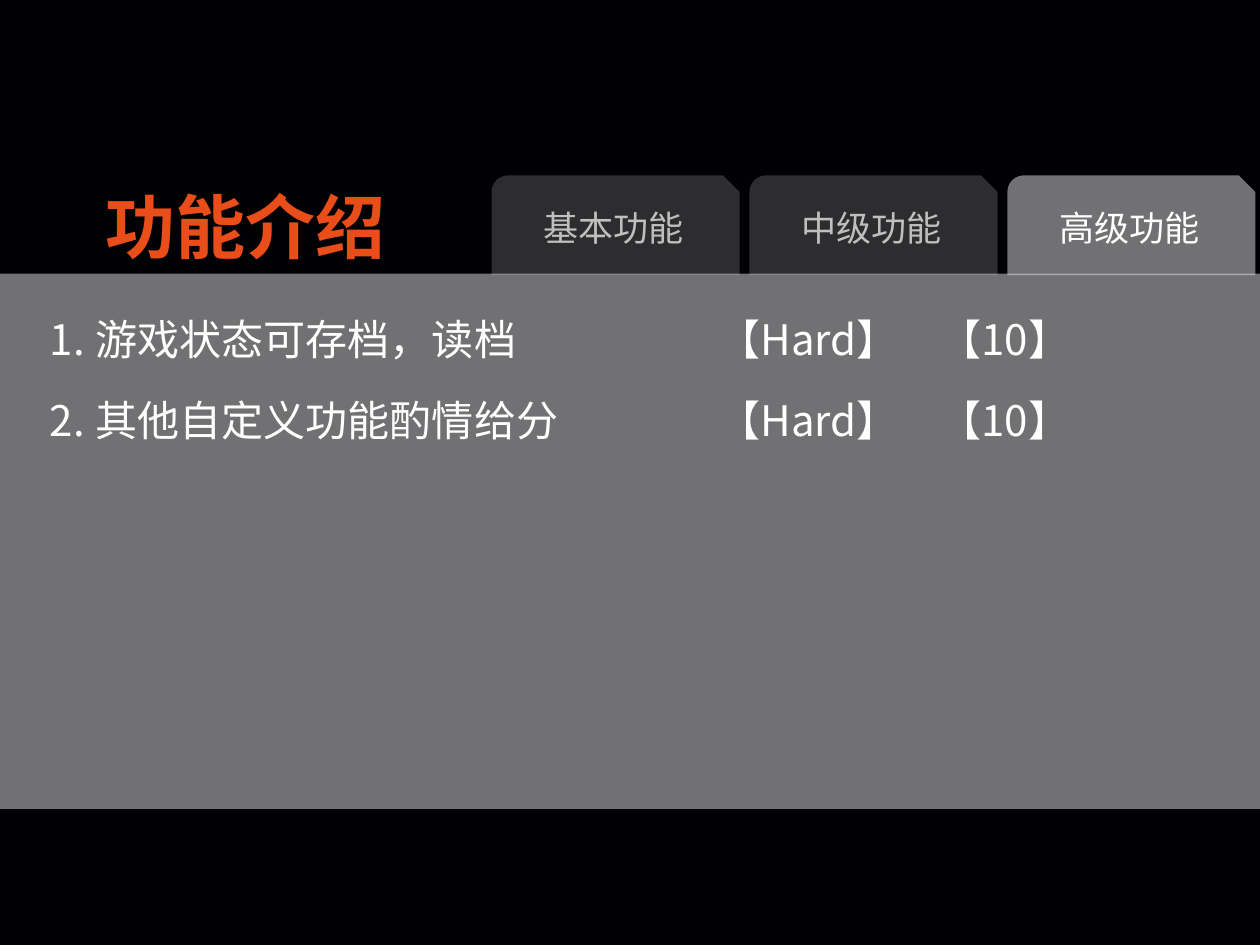
from lxml import etree
from pptx import Presentation
from pptx.dml.color import RGBColor
from pptx.enum.shapes import MSO_SHAPE
from pptx.enum.text import MSO_ANCHOR, MSO_AUTO_SIZE, PP_ALIGN
from pptx.oxml.ns import qn
from pptx.util import Inches, Pt

RECTANGLE = MSO_SHAPE.RECTANGLE
TAB_SHAPE = MSO_SHAPE.SNIP_ROUND_RECTANGLE
CENTER, LEFT = PP_ALIGN.CENTER, PP_ALIGN.LEFT
MIDDLE, TOP = MSO_ANCHOR.MIDDLE, MSO_ANCHOR.TOP
NO_AUTOFIT = MSO_AUTO_SIZE.NONE

BLACK = RGBColor(0x01, 0x01, 0x03)
PALE = RGBColor(0xE1, 0xE0, 0xE2)
MUTED = RGBColor(0xBF, 0xBF, 0xBF)
WHITE = RGBColor(0xFF, 0xFF, 0xFF)
ORANGE = RGBColor(0xE9, 0x4D, 0x1A)
FONT = "Noto Sans CJK SC"

TITLE = "功能介绍"
LEVELS = ["基本功能", "中级功能", "高级功能"]
CURRENT_LEVEL = "高级功能"
FEATURES = [
    ("游戏状态可存档，读档", "【Hard】", "【10】"),
    ("其他自定义功能酌情给分", "【Hard】", "【10】"),
]

SLIDE_W, SLIDE_H = 8.33, 6.25
BAND_TOP, BAND_H = 1.81, 3.54
TAB_LEFT, TAB_TOP, TAB_W, TAB_H, TAB_PITCH = 3.25, 1.16, 1.64, 0.66, 1.705
NUMBER_INDENT = 0.3
COLUMN_STOPS = (4.42, 5.88)


def place(shape, left, top, width, height):
    box = {"left": left, "top": top, "width": width, "height": height}
    for side, value in box.items():
        setattr(shape, side, Inches(value))


def add_panel(shapes, preset, box, opacity):
    panel = shapes.add_shape(preset, *map(Inches, box))
    panel.shadow.inherit = False
    panel.line.fill.background()
    panel.fill.solid()
    panel.fill.fore_color.rgb = PALE
    color = panel.fill._xPr.find(qn("a:solidFill"))[0]
    etree.SubElement(color, qn("a:alpha"), val=str(opacity * 1000))
    return panel


def write(paragraph, text, size, color, align, bold=False):
    paragraph.alignment = align
    run = paragraph.add_run()
    run.text = text
    for name, value in {"size": Pt(size), "bold": bold, "name": FONT}.items():
        setattr(run.font, name, value)
    run.font.color.rgb = color
    etree.SubElement(run._r.get_or_add_rPr(), qn("a:ea"), typeface=FONT)


def format_frame(frame, anchor, wrap):
    settings = {"vertical_anchor": anchor, "word_wrap": wrap, "auto_size": NO_AUTOFIT}
    for name, value in settings.items():
        setattr(frame, name, value)


def number_paragraph(paragraph):
    props = paragraph._p.get_or_add_pPr()
    props.set("marL", str(Inches(NUMBER_INDENT)))
    props.set("indent", str(-Inches(NUMBER_INDENT)))
    etree.SubElement(props, qn("a:buFont"), typeface=FONT)
    etree.SubElement(props, qn("a:buAutoNum"), type="arabicPeriod")
    stops = etree.SubElement(props, qn("a:tabLst"))
    for stop in COLUMN_STOPS:
        etree.SubElement(stops, qn("a:tab"), pos=str(Inches(stop)), algn="l")


def main():
    prs = Presentation()
    prs.slide_width, prs.slide_height = Inches(SLIDE_W), Inches(SLIDE_H)
    slide = prs.slides.add_slide(prs.slide_layouts[1])
    slide.background.fill.solid()
    slide.background.fill.fore_color.rgb = BLACK
    shapes = slide.shapes
    title, features = shapes.title, slide.placeholders[1]

    add_panel(shapes, RECTANGLE, (0, BAND_TOP, SLIDE_W, BAND_H), 50)
    for i, level in enumerate(LEVELS):
        current = level == CURRENT_LEVEL
        box = (TAB_LEFT + i * TAB_PITCH, TAB_TOP, TAB_W, TAB_H)
        tab = add_panel(shapes, TAB_SHAPE, box, 50 if current else 20)
        format_frame(tab.text_frame, MIDDLE, True)
        write(tab.text_frame.paragraphs[0], level, 16.7, WHITE if current else MUTED, CENTER)

    place(features, 0.23, 2.02, 7.6, 0.98)
    format_frame(features.text_frame, TOP, True)
    for i, row in enumerate(FEATURES):
        frame = features.text_frame
        paragraph = frame.add_paragraph() if i else frame.paragraphs[0]
        write(paragraph, "\t".join(row), 20, WHITE, LEFT)
        paragraph.space_before = Pt(15)
        number_paragraph(paragraph)

    place(title, 0.59, TAB_TOP, 2.07, TAB_H)
    format_frame(title.text_frame, MIDDLE, False)
    write(title.text_frame.paragraphs[0], TITLE, 33.3, ORANGE, CENTER, bold=True)

    for placeholder in (features, title):
        shapes._spTree.append(placeholder._element)
    prs.save("out.pptx")


if __name__ == "__main__":
    main()
